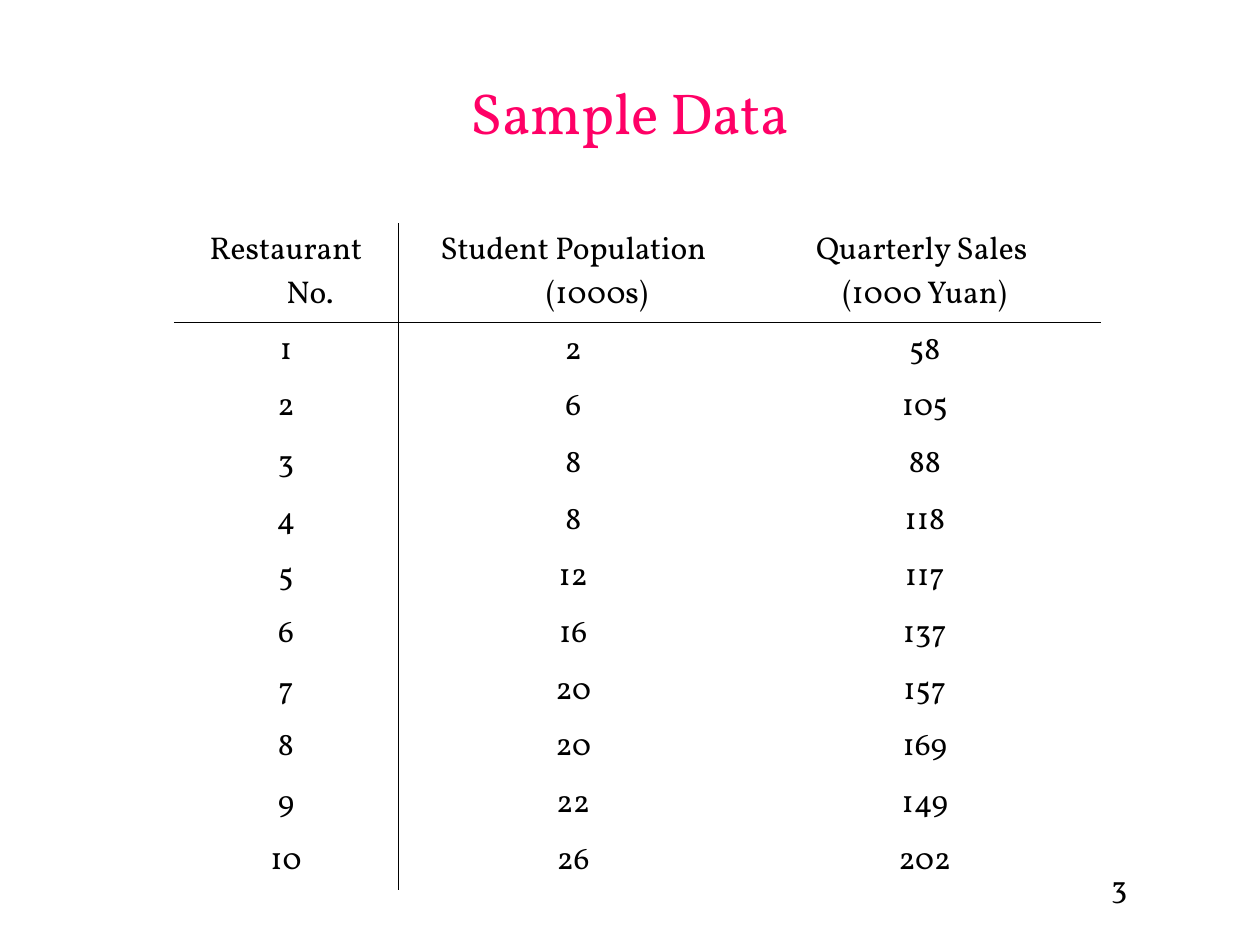
"""Build the sample data slide: restaurants, student population and quarterly sales."""
from dataclasses import dataclass

from lxml import etree
from pptx import Presentation
from pptx.dml.color import RGBColor
from pptx.enum.text import MSO_ANCHOR, PP_ALIGN
from pptx.oxml.ns import qn
from pptx.util import Inches, Pt

LEFT, CENTER = PP_ALIGN.LEFT, PP_ALIGN.CENTER
TOP, MIDDLE, BOTTOM = MSO_ANCHOR.TOP, MSO_ANCHOR.MIDDLE, MSO_ANCHOR.BOTTOM

HEADER = ["Restaurant No.", "Student Population (1000s)", "Quarterly Sales \n(1000 Yuan)"]
POPULATION = [2, 6, 8, 8, 12, 16, 20, 20, 22, 26]
SALES = [58, 105, 88, 118, 117, 137, 157, 169, 149, 202]


@dataclass(frozen=True)
class Theme:
    font: str = "Vollkorn"
    title_color: str = "FF0066"
    ink: str = "000000"
    title_size: float = 33
    body_size: float = 18
    rule_width: float = 0.45


def write_text(frame, text, *, font, size, color, align=LEFT, hanging=0):
    for index, line in enumerate(text.split("\n")):
        para = frame.add_paragraph() if index else frame.paragraphs[0]
        para.alignment = align
        if hanging:
            properties = para._p.get_or_add_pPr()
            properties.set("marL", str(Inches(hanging)))
            properties.set("indent", str(-Inches(hanging)))
        span = para.add_run()
        span.text = line
        span.font.name = font
        span.font.size = Pt(size)
        span.font.color.rgb = RGBColor.from_string(color)


class SlideBuilder:
    def __init__(self, page, theme):
        self.page = page
        self.theme = theme

    def text(self, text, left, top, width, height, anchor=TOP, **style):
        box = self.page.shapes.add_textbox(
            Inches(left), Inches(top), Inches(width), Inches(height))
        box.text_frame.word_wrap = True
        box.text_frame.vertical_anchor = anchor
        write_text(box.text_frame, text, font=self.theme.font, **style)

    def borders(self, cell, ruled_edges):
        properties = cell._tc.get_or_add_tcPr()
        for position, edge in enumerate("LRTB"):
            line = etree.Element(qn(f"a:ln{edge}"))
            if edge in ruled_edges:
                line.set("w", str(Pt(self.theme.rule_width)))
                fill = etree.SubElement(line, qn("a:solidFill"))
                etree.SubElement(fill, qn("a:srgbClr"), val=self.theme.ink)
            else:
                etree.SubElement(line, qn("a:noFill"))
            properties.insert(position, line)

    def table(self, rows, left, top, widths, heights):
        frame = self.page.shapes.add_table(
            len(rows), len(widths), Inches(left), Inches(top),
            Inches(sum(widths)), Inches(sum(heights)))
        table = frame.table
        table.first_row = table.horz_banding = False
        for column, width in zip(table.columns, widths):
            column.width = Inches(width)
        for row, height in zip(table.rows, heights):
            row.height = Inches(height)
        column_rules = {0: "R", 1: "L"}
        row_rules = {0: "B", 1: "T"}
        for row_index, values in enumerate(rows):
            for column_index, value in enumerate(values):
                cell = table.cell(row_index, column_index)
                cell.fill.background()
                cell.vertical_anchor = BOTTOM
                self.borders(cell, column_rules.get(column_index, "")
                             + row_rules.get(row_index, ""))
                write_text(cell.text_frame, str(value), font=self.theme.font,
                           size=self.theme.body_size, color=self.theme.ink,
                           align=CENTER, hanging=0.38)


def main():
    deck = Presentation()
    deck.slide_width, deck.slide_height = Inches(10), Inches(7.5)
    theme = Theme()
    builder = SlideBuilder(deck.slides.add_slide(deck.slide_layouts[6]), theme)

    builder.text("3", 8.72, 6.83, 1.48, 0.46, size=theme.body_size, color=theme.ink)
    builder.text("Sample Data", 0.75, 0.44, 8.5, 0.89, size=theme.title_size,
                 color=theme.title_color, align=CENTER, anchor=MIDDLE)
    records = zip(range(1, len(SALES) + 1), POPULATION, SALES)
    builder.table([HEADER, *records], 1.38, 1.77, widths=[1.78, 2.78, 2.8],
                  heights=[0.79] + [0.45] * len(SALES))
    deck.save("out.pptx")


if __name__ == "__main__":
    main()
